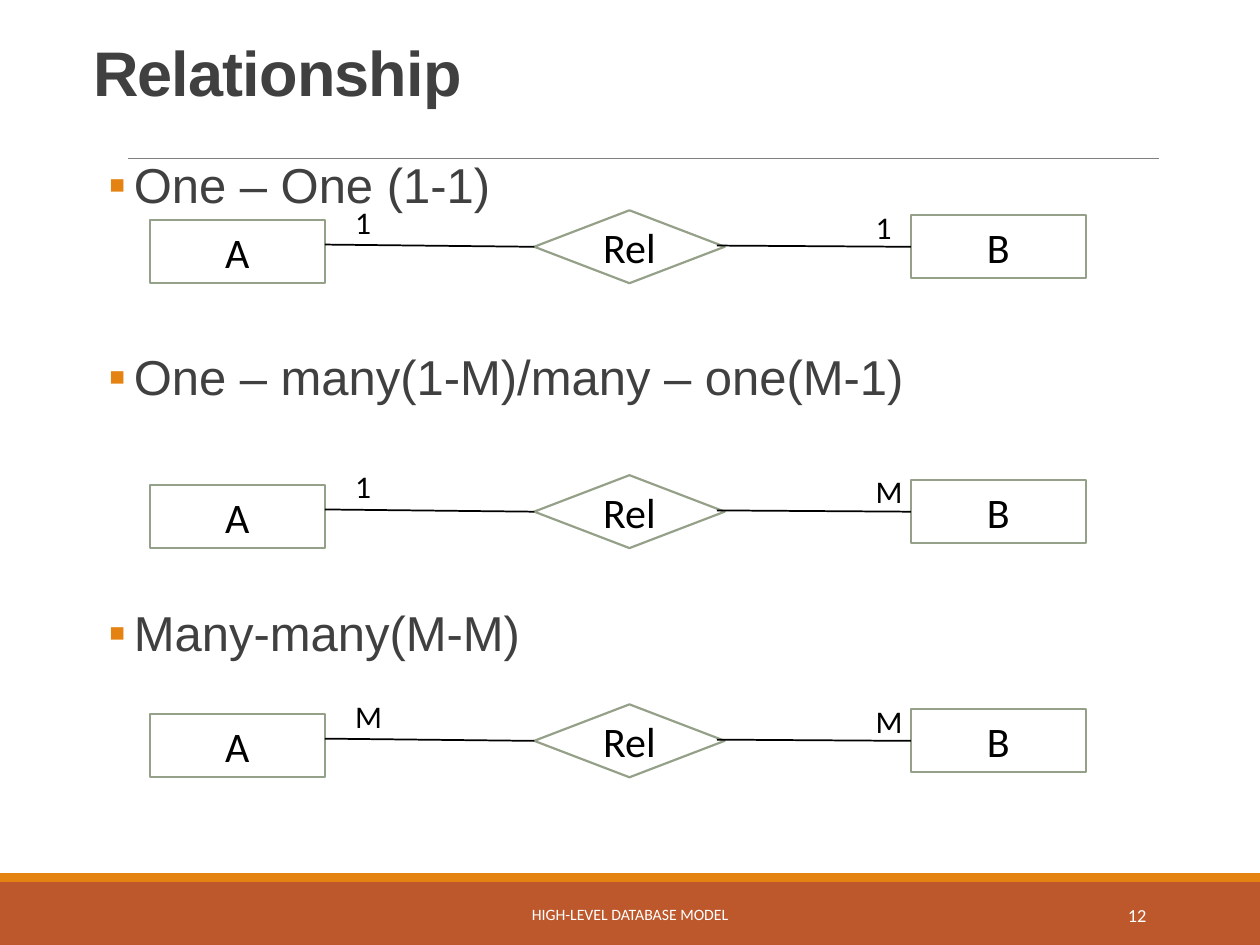
from dataclasses import dataclass

from lxml import etree
from pptx import Presentation
from pptx import util as u
from pptx.dml.color import RGBColor
from pptx.enum import shapes, text
from pptx.oxml import ns

Cm, Pt = u.Cm, u.Pt
KIND, ALIGN, ANCHOR = shapes.MSO_SHAPE, text.PP_ALIGN, text.MSO_ANCHOR


@dataclass(frozen=True)
class Theme:
    ink: str = "404040"
    black: str = "000000"
    white: str = "FFFFFF"
    rust: str = "BD582C"
    amber: str = "E48312"
    sage: str = "94A088"
    gray: str = "808080"
    head: str = "Arial"
    body: str = "Calibri"
    title: float = 36
    item: float = 28
    node: float = 24
    mark: float = 18
    foot: float = 9
    page: float = 10.5


T = Theme()


def rgb(code):
    return RGBColor.from_string(code)


def style(para, size, color, face, align=ALIGN.LEFT, bold=False):
    para.alignment = align
    for run in para.runs:
        font = run.font
        font.size, font.name, font.bold = Pt(size), face, bold
        font.color.rgb = rgb(color)


def label(slide, words, box, size, color, face=T.body, align=ALIGN.LEFT,
          anchor=ANCHOR.TOP, bold=False):
    frame = slide.shapes.add_textbox(*map(Cm, box)).text_frame
    frame.word_wrap = True
    frame.vertical_anchor = anchor
    frame.text = words
    style(frame.paragraphs[0], size, color, face, align, bold)
    return frame.paragraphs[0]


def block(slide, kind, box, fill, edge=None):
    shape = slide.shapes.add_shape(kind, *map(Cm, box))
    shape.shadow.inherit = False
    shape.fill.solid()
    shape.fill.fore_color.rgb = rgb(fill)
    if edge:
        shape.line.color.rgb = rgb(edge)
        shape.line.width = Pt(1.25)
    else:
        shape.line.fill.background()
    return shape


def node(slide, kind, box, words):
    shape = block(slide, kind, box, T.white, T.sage)
    frame = shape.text_frame
    frame.vertical_anchor = ANCHOR.MIDDLE
    frame.text = words
    style(frame.paragraphs[0], T.node, T.black, T.body, ALIGN.CENTER)
    return shape


def line(slide, start, end, color, width):
    link = slide.shapes.add_connector(
        shapes.MSO_CONNECTOR.STRAIGHT, *map(Cm, start + end))
    link.line.color.rgb = rgb(color)
    link.line.width = Pt(width)
    etree.SubElement(link._element.spPr, ns.qn("a:effectLst"))
    return link


def bullet(para):
    props = para._p.get_or_add_pPr()
    props.set("marL", str(Cm(1.07)))
    props.set("indent", str(Cm(-0.51)))
    tint = etree.SubElement(props, ns.qn("a:buClr"))
    etree.SubElement(tint, ns.qn("a:srgbClr"), val=T.amber)
    etree.SubElement(props, ns.qn("a:buFont"), typeface=T.body)
    etree.SubElement(props, ns.qn("a:buChar"), char="▪")


# Title with the rule beneath it
def header(slide, x, y, w, h):
    line(slide, (x + 0.96, y + 2.41), (x + 21.74, y + 2.41), T.gray, 0.5)
    para = label(slide, "Relationship", (x, y, w, h), T.title, T.ink,
                 T.head, bold=True)
    para.line_spacing = 0.85
    para.runs[0]._r.get_or_add_rPr().set("spc", "-50")


# Bulleted list, spaced to leave room for the diagrams
def listing(slide, x, y, w, h, items):
    frame = slide.shapes.add_textbox(*map(Cm, (x, y, w, h))).text_frame
    frame.word_wrap = True
    frame.margin_left = frame.margin_right = 0
    frame.text = "\n".join(words for words, _ in items)
    for para, (_, gap) in zip(frame.paragraphs, items):
        bullet(para)
        para.line_spacing = 0.9
        para.space_before, para.space_after = Pt(gap), Pt(4)
        style(para, T.item, T.ink, T.head)


# Two entities joined through a relationship diamond
def diagram(slide, x, y, left, right):
    node(slide, KIND.RECTANGLE, (x, y + 0.2, 3.53, 1.27), "A")
    rel = node(slide, KIND.FLOWCHART_DECISION, (x + 7.75, y, 3.84, 1.47), "Rel")
    b = node(slide, KIND.RECTANGLE, (x + 15.34, y + 0.1, 3.53, 1.27), "B")
    mid = y + 0.74
    near = line(slide, (x + 3.53, y + 0.69), (x + 7.75, mid), T.black, 1)
    near.end_connect(rel, 1)
    far = line(slide, (x + 11.43, y + 0.71), (x + 15.34, mid), T.black, 1)
    far.end_connect(b, 1)
    for words, dx, dy in ((left, 3.89, -0.28), (right, 14.38, -0.18)):
        label(slide, words, (x + dx, y + dy, 1.75, 1.02), T.mark, T.black)


# Footer band with stripe, course name and page number
def footer(slide, x, y, w, h):
    block(slide, KIND.RECTANGLE, (x, y, w, h), T.rust)
    block(slide, KIND.RECTANGLE, (x, y - 0.18, w, 0.18), T.amber)
    label(slide, "HIGH-LEVEL DATABASE MODEL", (x + 7.67, y + 0.15, 10.06, 1.02),
          T.foot, T.white, align=ALIGN.CENTER, anchor=ANCHOR.MIDDLE)
    label(slide, "12", (x + 20.62, y + 0.15, 2.74, 1.02),
          T.page, T.white, align=ALIGN.RIGHT, anchor=ANCHOR.MIDDLE)


def main():
    deck = Presentation()
    deck.slide_width, deck.slide_height = Cm(25.4), Cm(19.05)
    slide = deck.slides.add_slide(deck.slide_layouts[6])
    footer(slide, 0, 17.78, 25.4, 1.27)
    header(slide, 1.63, 0.79, 22.05, 2.34)
    listing(slide, 1.63, 3.12, 22.05, 14.07, (
        ("One – One (1-1)", 0),
        ("One – many(1-M)/many – one(M-1)", 75.6),
        ("Many-many(M-M)", 112.1),
    ))
    for top, left, right in ((4.24, "1", "1"), (9.58, "1", "M"),
                             (14.2, "M", "M")):
        diagram(slide, 3.02, top, left, right)
    deck.save("out.pptx")


if __name__ == "__main__":
    main()
